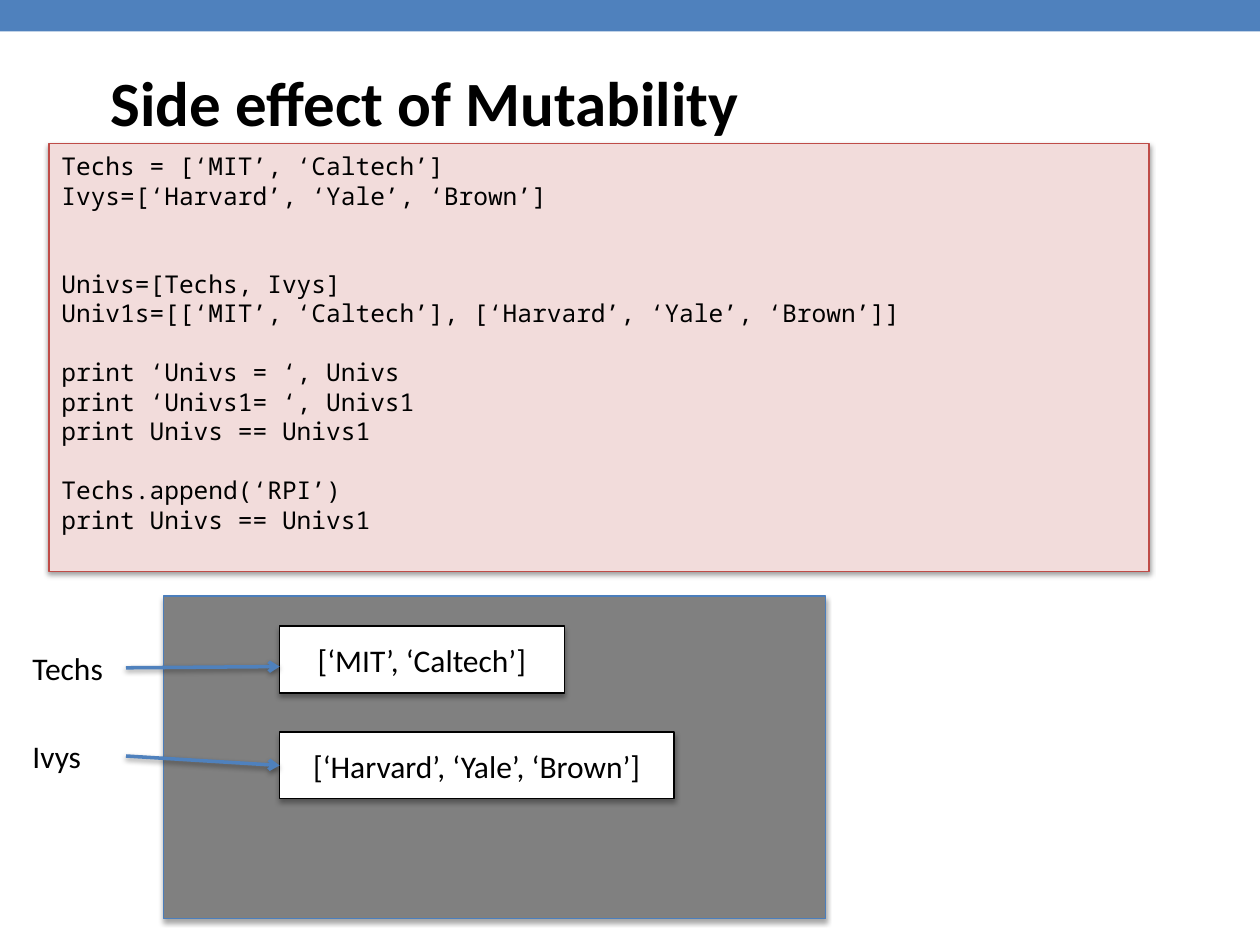
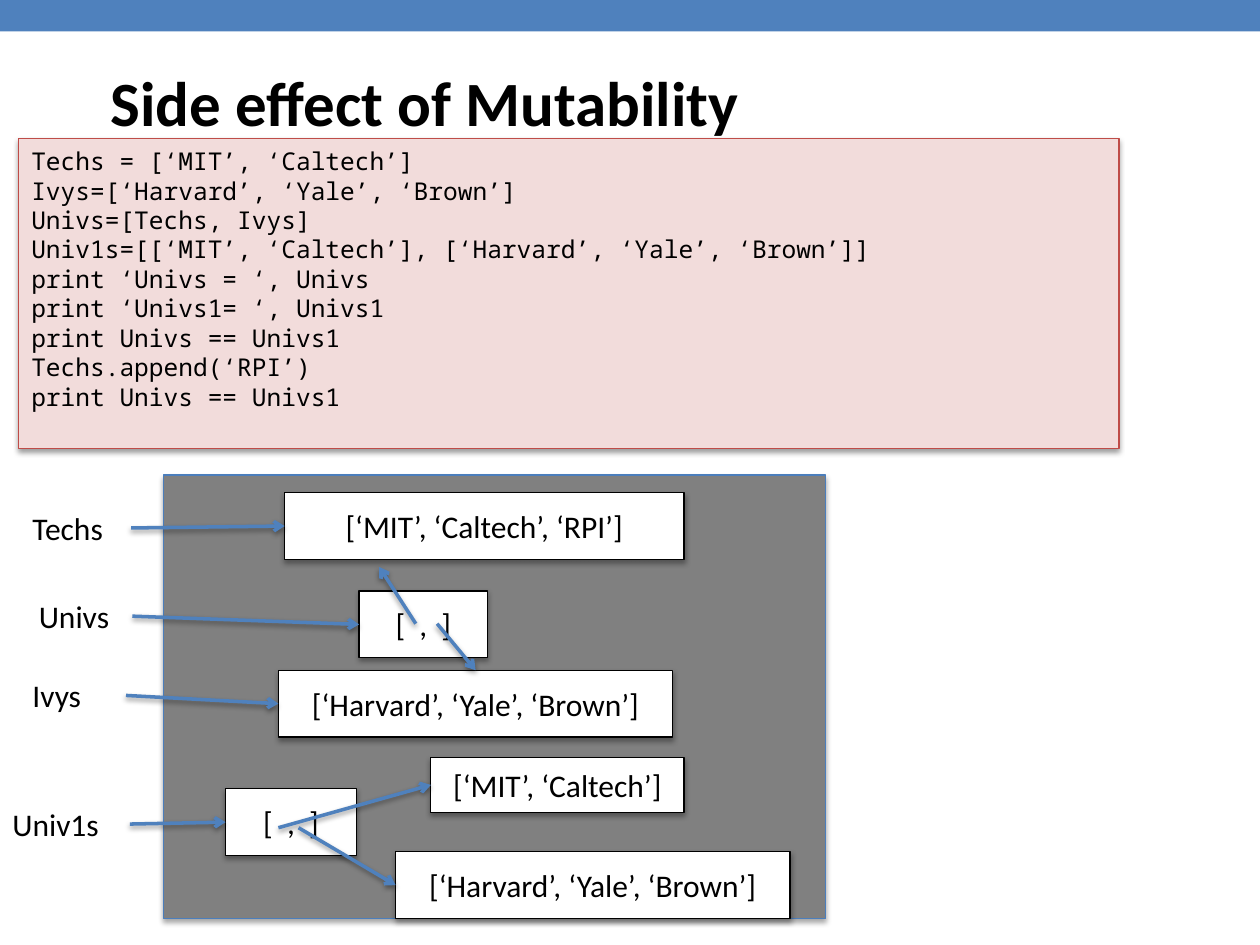
import pptx
import pptx.util
import pptx.dml.color
import pptx.enum.shapes
import pptx.enum.text
import pptx.oxml
import pptx.oxml.ns

Pt = pptx.util.Pt
RGB = pptx.dml.color.RGBColor.from_string
RECT = pptx.enum.shapes.MSO_SHAPE.RECTANGLE
STRAIGHT = pptx.enum.shapes.MSO_CONNECTOR.STRAIGHT
TOP = pptx.enum.text.MSO_ANCHOR.TOP
MIDDLE = pptx.enum.text.MSO_ANCHOR.MIDDLE
LEFT = pptx.enum.text.PP_ALIGN.LEFT
CENTER = pptx.enum.text.PP_ALIGN.CENTER

BODY = {"name": "Calibri", "size": Pt(18), "bold": False}
THEME = {
    "text": "000000",
    "arrow": "4F81BD",
    "arrow_width": 2,
    "arrow_shadow": (38, 1.6),
    "code_pitch": 16.86,
    "band": {"fill": "4F81BD"},
    "title": {"font": {"name": "Calibri", "size": Pt(36), "bold": True}, "anchor": MIDDLE},
    "code": {"fill": "F2DCDB", "line": "BF4C48", "shadow": (38, 1.6), "inset": 4.4,
             "font": {"name": "Noto Sans Mono", "size": Pt(14), "bold": False}},
    "memory": {"fill": "808080", "line": "4B7EBC", "shadow": (35, 1.8)},
    "value": {"fill": "FFFFFF", "line": "000000", "shadow": (35, 1.8),
              "font": BODY, "anchor": MIDDLE, "align": CENTER},
    "label": {"font": BODY},
}


def cast_shadow(item, alpha, distance):
    item.element.spPr.append(pptx.oxml.parse_xml(
        f'<a:effectLst {pptx.oxml.ns.nsdecls("a")}>'
        f'<a:outerShdw blurRad="{Pt(3.1)}" dist="{Pt(distance)}" dir="5400000" rotWithShape="0">'
        f'<a:srgbClr val="000000"><a:alpha val="{alpha * 1000}"/></a:srgbClr>'
        '</a:outerShdw></a:effectLst>'))


def add_box(s, role, place, lines=(), blanks_before={}):
    style = THEME[role]
    place = [Pt(v) for v in place]
    if "fill" in style:
        sp = s.shapes.add_shape(RECT, *place)
        sp.fill.solid()
        sp.fill.fore_color.rgb = RGB(style["fill"])
        if "line" in style:
            sp.line.color.rgb = RGB(style["line"])
            sp.line.width = Pt(0.75)
        else:
            sp.line.fill.background()
        if "shadow" in style:
            cast_shadow(sp, *style["shadow"])
        else:
            sp.shadow.inherit = False
    else:
        sp = s.shapes.add_textbox(*place)
    tf = sp.text_frame
    tf.word_wrap = True
    tf.vertical_anchor = style.get("anchor", TOP)
    tf.margin_top = Pt(style.get("inset", 3.6))
    for i, line in enumerate(lines):
        p = tf.add_paragraph() if i else tf.paragraphs[0]
        p.alignment = style.get("align", LEFT)
        if i in blanks_before:
            p.space_before = Pt(blanks_before[i] * THEME["code_pitch"])
        r = p.add_run()
        r.text = line
        for key, value in style["font"].items():
            setattr(r.font, key, value)
        r.font.color.rgb = RGB(THEME["text"])
    return sp


CODE = [
    "Techs = [‘MIT’, ‘Caltech’]",
    "Ivys=[‘Harvard’, ‘Yale’, ‘Brown’]",
    "Univs=[Techs, Ivys]",
    "Univ1s=[[‘MIT’, ‘Caltech’], [‘Harvard’, ‘Yale’, ‘Brown’]]",
    "print ‘Univs = ‘, Univs",
    "print ‘Univs1= ‘, Univs1",
    "print Univs == Univs1",
    "Techs.append(‘RPI’)",
    "print Univs == Univs1",
]
TECHS = "[‘MIT’, ‘Caltech’]"
IVYS = "[‘Harvard’, ‘Yale’, ‘Brown’]"
PAIR = "[  ,  ]"

SLIDES = [
    {
        "code": (28, 82, 628.6, 244.8),
        "blanks_before": {2: 2, 4: 1, 7: 1},
        "memory": (93.6, 340.6, 378, 184.3),
        "values": {
            "Techs": (TECHS, (159.8, 357.8, 162.7, 38.2)),
            "Ivys": (IVYS, (159.8, 418.3, 225.4, 38.2)),
        },
        "labels": {
            "Techs": (11.5, 367.2, 60.5, 28.8),
            "Ivys": (11.5, 417.6, 60.5, 28.8),
        },
        "arrows": [
            ("Techs", (159.8, 380.9)),
            ("Ivys", ("Ivys", 1)),
        ],
    },
    {
        "code": (10.8, 79.2, 628.6, 177.1),
        "blanks_before": {},
        "memory": (93.6, 271.4, 378, 253.4),
        "values": {
            "Techs": ("[‘MIT’, ‘Caltech’, ‘RPI’]", (162.7, 281.5, 228.2, 38.2)),
            "Ivys": (IVYS, (159.1, 383, 225.4, 38.2)),
            "Univs": (PAIR, (205.2, 337.7, 73.4, 38.2)),
            "Univ1s": (PAIR, (128.9, 450.7, 74.9, 38.2)),
            "Techs copy": (TECHS, (246.2, 432.7, 144.7, 31.7)),
            "Ivys copy": (IVYS, (226.1, 486.7, 225.4, 38.2)),
        },
        "labels": {
            "Techs": (11.5, 287.3, 60.5, 28.8),
            "Ivys": (11.5, 383, 60.5, 28.8),
            "Univs": (15.1, 337.7, 60.5, 28.8),
            "Univ1s": (0, 456.5, 74.2, 28.8),
        },
        "arrows": [
            ((74.9, 301.7), ("Techs", 1)),
            ("Ivys", ("Ivys", 1)),
            ("Univs", ("Univs", 1)),
            ("Univ1s", ("Univ1s", 1)),
            ((237.6, 356.4), (216.7, 324)),
            ((249.8, 356.4), ("Ivys", 0)),
            ((159.1, 473), ("Techs copy", 1)),
            ((170.6, 473), ("Ivys copy", 1)),
        ],
    },
]

prs = pptx.Presentation()
prs.slide_width, prs.slide_height = Pt(720), Pt(540)

for content in SLIDES:
    s = prs.slides.add_slide(prs.slide_layouts[6])
    add_box(s, "band", (0, 0, 720, 18))
    add_box(s, "title", (56.2, 0, 612, 116), ["Side effect of Mutability"])
    add_box(s, "code", content["code"], CODE, content["blanks_before"])
    add_box(s, "memory", content["memory"])
    values = {name: add_box(s, "value", place, [text])
              for name, (text, place) in content["values"].items()}
    labels = {name: add_box(s, "label", place, [name])
              for name, place in content["labels"].items()}

    for start, end in content["arrows"]:
        from_label = start in labels
        to_value = end[0] in values
        begin_xy = (0, 0) if from_label else start
        end_xy = (0, 0) if to_value else end
        arrow = s.shapes.add_connector(STRAIGHT, *[Pt(v) for v in (*begin_xy, *end_xy)])
        if from_label:
            arrow.begin_connect(labels[start], 3)
        if to_value:
            arrow.end_connect(values[end[0]], end[1])
        arrow.line.color.rgb = RGB(THEME["arrow"])
        arrow.line.width = Pt(THEME["arrow_width"])
        ln = arrow.element.spPr.find(pptx.oxml.ns.qn("a:ln"))
        ln.append(pptx.oxml.parse_xml(f'<a:tailEnd {pptx.oxml.ns.nsdecls("a")} type="arrow"/>'))
        cast_shadow(arrow, *THEME["arrow_shadow"])

prs.save("out.pptx")
